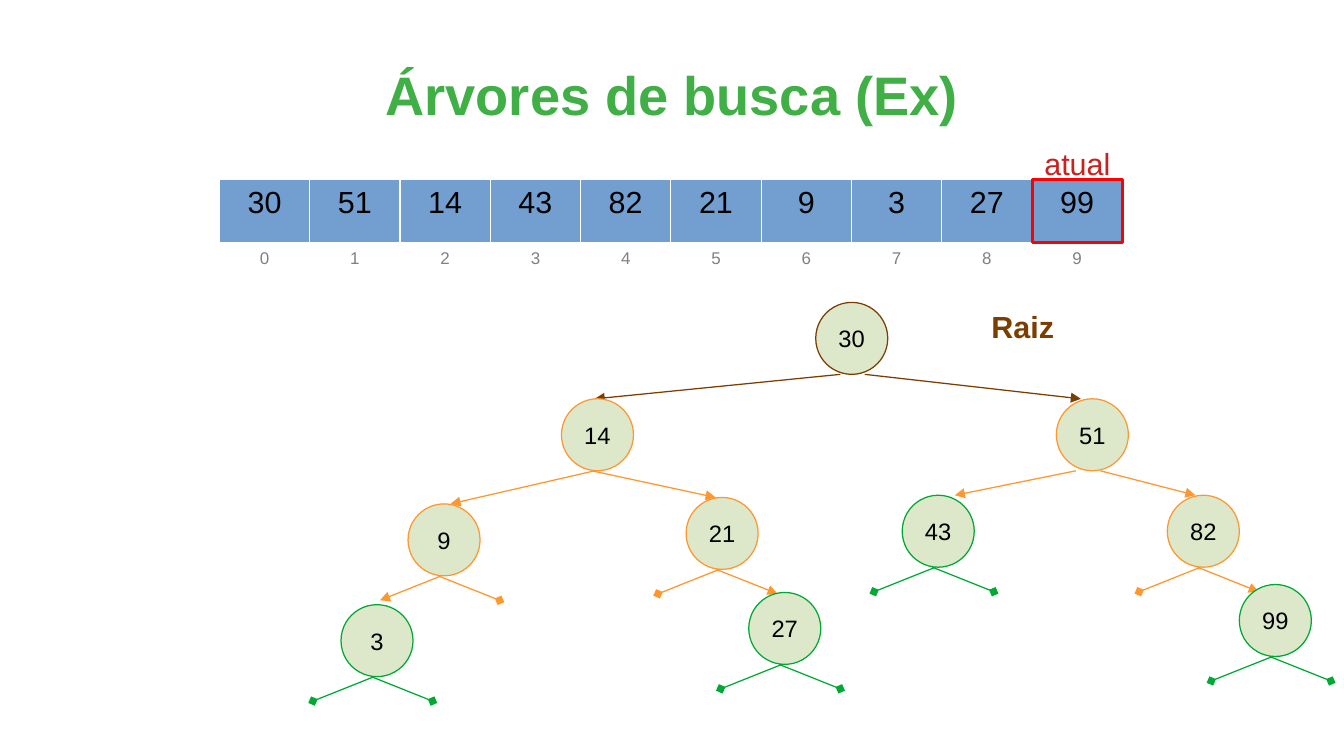
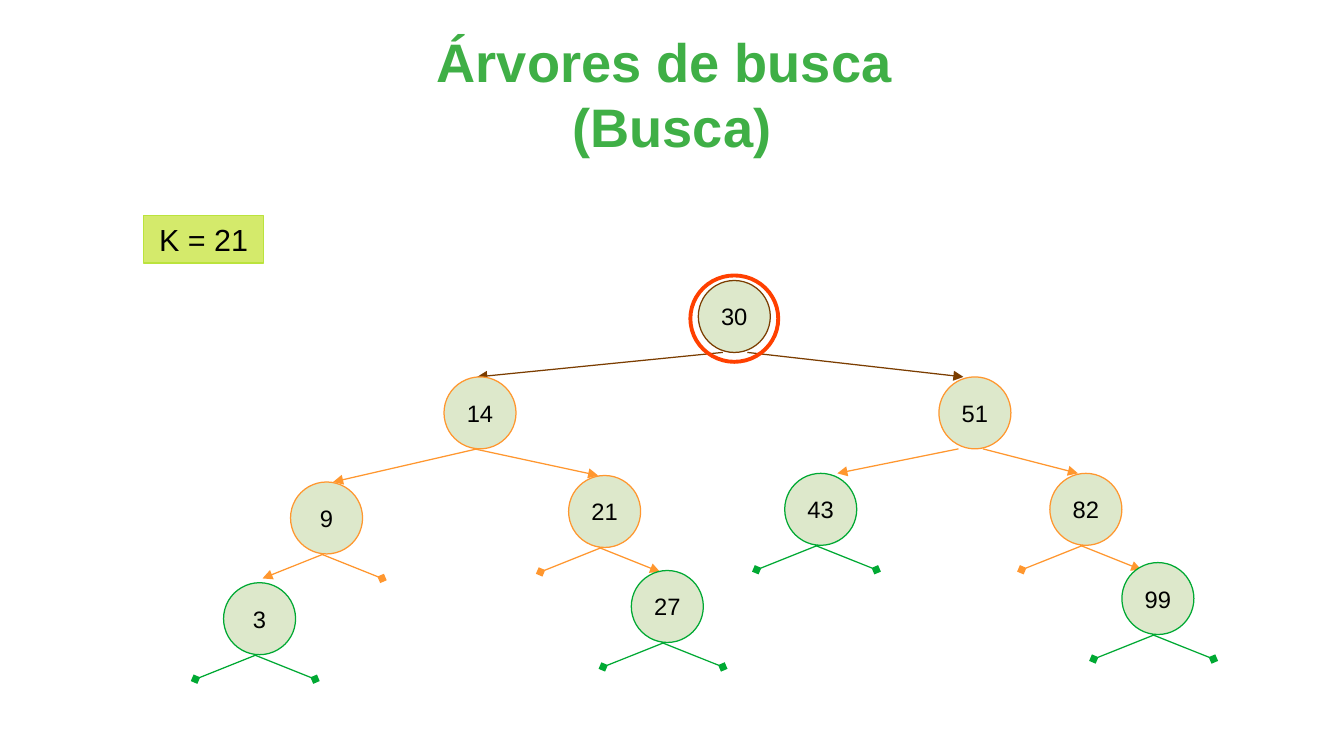
from dataclasses import dataclass
from typing import NamedTuple

from lxml.etree import SubElement
from pptx import Presentation
from pptx.dml.color import RGBColor
from pptx.enum.shapes import MSO_CONNECTOR, MSO_SHAPE
from pptx.enum.text import MSO_ANCHOR, PP_ALIGN
from pptx.oxml.ns import qn
from pptx.util import Inches, Pt

SLIDE_WIDTH, SLIDE_HEIGHT = Inches(11.02), Inches(6.2)


@dataclass(frozen=True)
class Theme:
    font: str = "Arial"
    black: str = "000000"
    white: str = "FFFFFF"
    title: str = "3FAF46"
    array: str = "729FCF"
    index: str = "808080"
    current: str = "C9211E"
    current_frame: str = "FF0000"
    node: str = "DDE8CB"
    root: str = "7B3D00"
    inner: str = "FF972F"
    leaf: str = "00A933"
    key: str = "D4EA6B"
    key_line: str = "BBE33D"
    visited: str = "FF4000"
    title_size: float = 32
    label_size: float = 18
    node_size: float = 14
    index_size: float = 10
    thin: float = 0.75
    frame: float = 1.5
    ring: float = 2.3


THEME = Theme()


class Box(NamedTuple):
    left: int
    top: int
    width: int
    height: int

    def inner_box(self, left, top, width, height):
        """Return a box given as shares of this one."""
        return Box(int(self.left + left * self.width), int(self.top + top * self.height),
                   int(width * self.width), int(height * self.height))

    def point(self, across, down):
        return int(self.left + across * self.width), int(self.top + down * self.height)


def percent(left, top, width, height):
    """Return a box given in percent of the slide."""
    page = Box(0, 0, SLIDE_WIDTH, SLIDE_HEIGHT)
    return page.inner_box(left / 100, top / 100, width / 100, height / 100)


class Node(NamedTuple):
    value: int
    across: float  # offsets from the root, in node diameters
    down: float
    left_child: bool = False
    right_child: bool = False
    # Each branch: start across, end across, end down
    left_branch: tuple = (0.46, -0.39, 1.34)
    right_branch: tuple = (0.42, 1.27, 1.34)


TREE = [
    Node(30, 0, 0, True, True, (0.34, -3.07, 1.34), (0.68, 3.68, 1.34)),
    Node(51, 3.34, 1.34, True, True, (0.27, -1.41, 1.34), (0.61, 1.93, 1.34)),
    Node(14, -3.53, 1.34, True, True, (0.46, -1.54, 1.46), (0.42, 2.14, 1.37)),
    Node(43, 1.2, 2.68),
    Node(82, 4.88, 2.68, right_child=True),
    Node(21, -1.8, 2.71, right_child=True),
    Node(9, -5.66, 2.8, left_child=True),
    Node(3, -6.59, 4.2),
    Node(27, -0.93, 4.03),
    Node(99, 5.88, 3.92),
]
VALUES = [30, 51, 14, 43, 82, 21, 9, 3, 27, 99]


# Shared text and shape helpers
def write(text_frame, text, size, color, bold=False, align=PP_ALIGN.CENTER):
    text_frame.text = text
    for paragraph in text_frame.paragraphs:
        paragraph.alignment = align
        for run in paragraph.runs:
            run.font.name = THEME.font
            run.font.size = Pt(size)
            run.font.bold = bold
            run.font.color.rgb = RGBColor.from_string(color)


def add_label(slide, box, text, color, bold=False):
    text_frame = slide.shapes.add_textbox(*box).text_frame
    text_frame.word_wrap = True
    write(text_frame, text, THEME.label_size, color, bold, PP_ALIGN.LEFT)


def add_outline(shapes, kind, box, line, weight, fill=None):
    shape = shapes.add_shape(kind, *box)
    shape.shadow.inherit = False
    if fill:
        shape.fill.solid()
        shape.fill.fore_color.rgb = RGBColor.from_string(fill)
    else:
        shape.fill.background()
    shape.line.color.rgb = RGBColor.from_string(line)
    shape.line.width = Pt(weight)
    return shape


def add_title(slide, text):
    text_frame = slide.shapes.add_textbox(*percent(5, 4, 90, 16.8)).text_frame
    text_frame.word_wrap = True
    text_frame.vertical_anchor = MSO_ANCHOR.MIDDLE
    text_frame.margin_left = text_frame.margin_right = 0
    text_frame.margin_top = text_frame.margin_bottom = 0
    write(text_frame, text, THEME.title_size, THEME.title, bold=True)


# Array with its indices and the current element
def style_cell(cell, text, size, color, fill):
    properties = cell._tc.get_or_add_tcPr()
    for side in ("lnL", "lnR", "lnT", "lnB"):
        border = SubElement(properties, qn(f"a:{side}"), w=str(Pt(THEME.thin)))
        solid = SubElement(border, qn("a:solidFill"))
        SubElement(solid, qn("a:srgbClr"), val=THEME.white)
    cell.fill.solid()
    cell.fill.fore_color.rgb = RGBColor.from_string(fill)
    write(cell.text_frame, text, size, color)


def add_array(slide, box, values, current):
    value_share = 0.64
    table = slide.shapes.add_table(2, len(values), *box).table
    table.first_row = table.horz_banding = False
    table.rows[0].height = int(box.height * value_share)
    table.rows[1].height = box.height - table.rows[0].height
    for index, value in enumerate(values):
        table.columns[index].width = box.width // len(values)
        style_cell(table.cell(0, index), str(value), THEME.label_size, THEME.black, THEME.array)
        style_cell(table.cell(1, index), str(index), THEME.index_size, THEME.index, THEME.white)

    column = 1 / len(values)
    frame = box.inner_box(current * column, 0, column, value_share)
    add_outline(slide.shapes, MSO_SHAPE.RECTANGLE, frame, THEME.current_frame, THEME.frame)
    add_label(slide, frame.inner_box(0, -0.64, 1.07, 0.75), "atual", THEME.current)


# Binary search tree
def add_branch(shapes, box, branch, color, has_child):
    start, end, down = branch
    connector = shapes.add_connector(
        MSO_CONNECTOR.STRAIGHT, *box.point(start, 1), *box.point(end, down))
    connector.line.color.rgb = RGBColor.from_string(color)
    connector.line.width = Pt(THEME.thin)
    SubElement(connector.line._get_or_add_ln(), qn("a:tailEnd"),
               type="triangle" if has_child else "diamond")
    SubElement(connector._element.spPr, qn("a:effectLst"))


def add_node(slide, box, node, color):
    shapes = slide.shapes.add_group_shape().shapes
    circle = add_outline(shapes, MSO_SHAPE.OVAL, box, color, THEME.thin, THEME.node)
    circle.text_frame.word_wrap = False
    circle.text_frame.vertical_anchor = MSO_ANCHOR.MIDDLE
    write(circle.text_frame, str(node.value), THEME.node_size, THEME.black)
    add_branch(shapes, box, node.left_branch, color, node.left_child)
    add_branch(shapes, box, node.right_branch, color, node.right_child)


def add_tree(slide, root_box):
    for node in TREE:
        if node is TREE[0]:
            color = THEME.root
        else:
            color = THEME.inner if node.left_child or node.right_child else THEME.leaf
        add_node(slide, root_box.inner_box(node.across, node.down, 1, 1), node, color)


# Searched key
def add_key(slide, box, text):
    key = add_outline(slide.shapes, MSO_SHAPE.RECTANGLE, box,
                      THEME.key_line, THEME.thin, THEME.key)
    key.text_frame.word_wrap = False
    key.text_frame.vertical_anchor = MSO_ANCHOR.MIDDLE
    write(key.text_frame, text, THEME.label_size, THEME.black)


# Slides
def add_slide(presentation, title):
    slide = presentation.slides.add_slide(presentation.slide_layouts[6])
    add_title(slide, title)
    return slide


def build_example(presentation):
    slide = add_slide(presentation, "Árvores de busca (Ex)")
    add_array(slide, percent(16.33, 23.75, 67.2, 13.06), VALUES, len(VALUES) - 1)
    add_label(slide, percent(72.87, 40, 8.9, 6.1), "Raiz", THEME.root, bold=True)
    add_tree(slide, percent(60.7, 40, 5.36, 9.52))


def build_search(presentation):
    slide = add_slide(presentation, "Árvores de busca \v(Busca)")
    add_key(slide, percent(10.7, 28.5, 8.9, 6.3), "K = 21")
    root_box = percent(51.96, 37.1, 5.36, 9.52)
    add_tree(slide, root_box)
    add_outline(slide.shapes, MSO_SHAPE.OVAL, root_box.inner_box(-0.11, -0.07, 1.22, 1.2),
                THEME.visited, THEME.ring)


def main():
    presentation = Presentation()
    presentation.slide_width = SLIDE_WIDTH
    presentation.slide_height = SLIDE_HEIGHT
    build_example(presentation)
    build_search(presentation)
    presentation.save("out.pptx")


if __name__ == "__main__":
    main()
